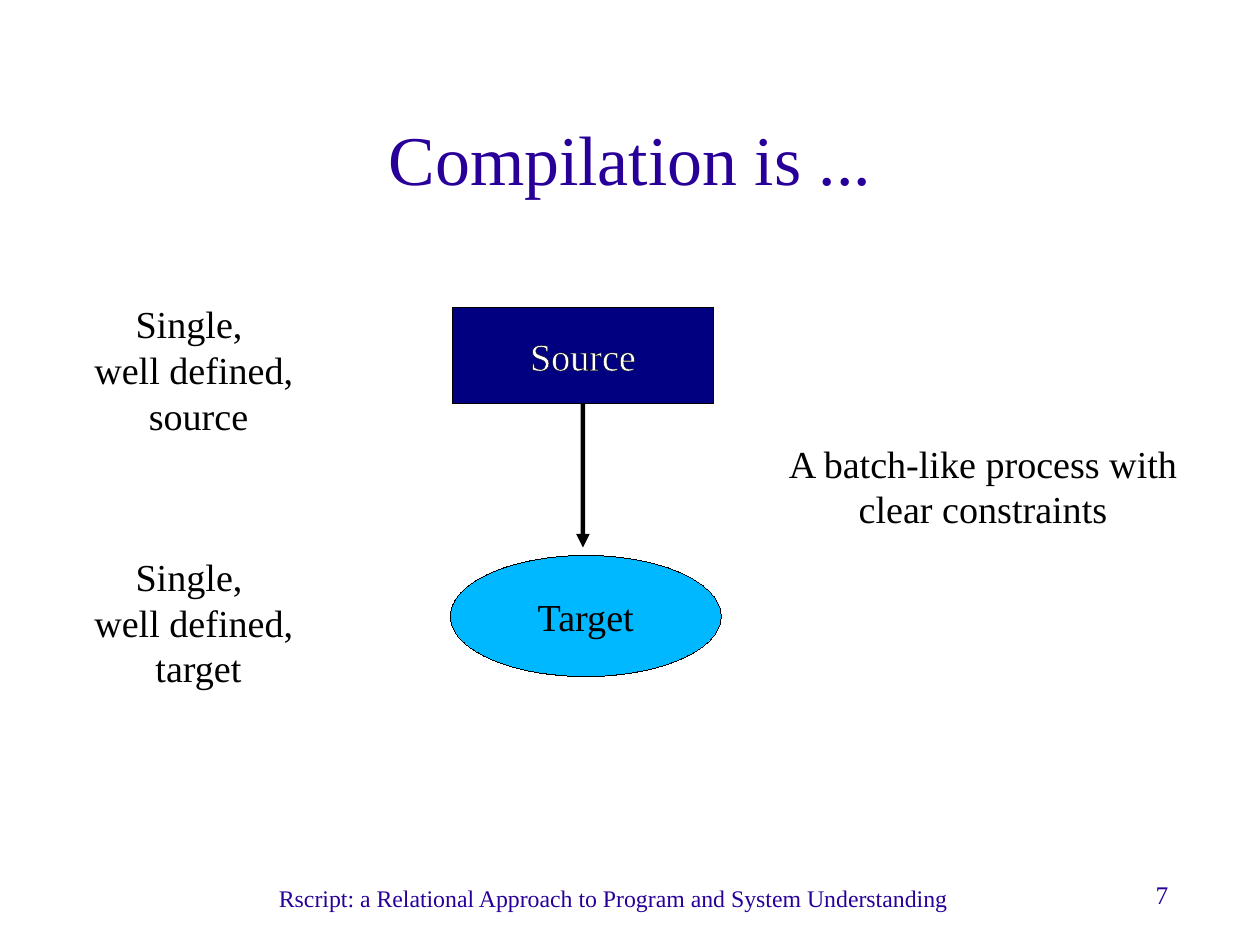
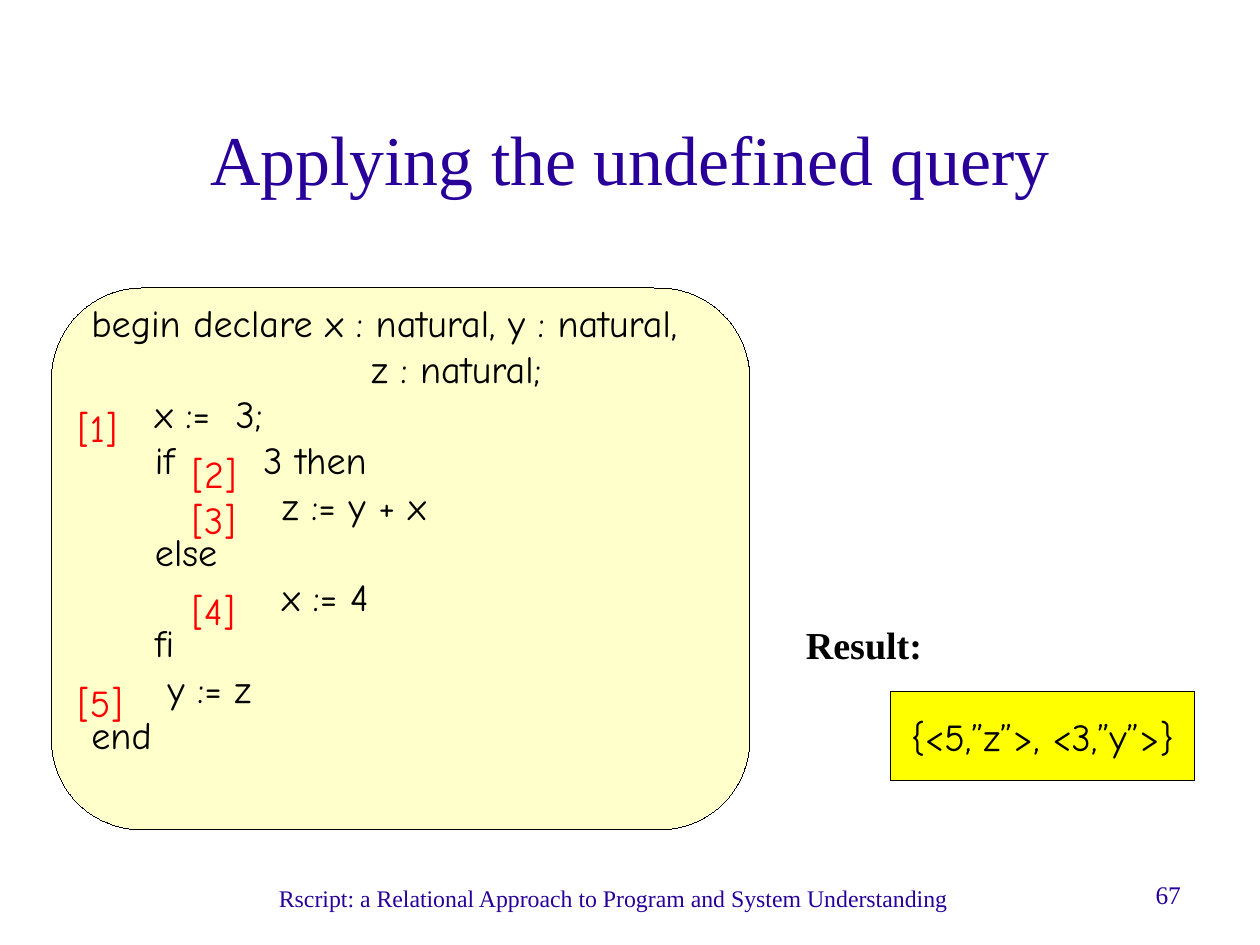
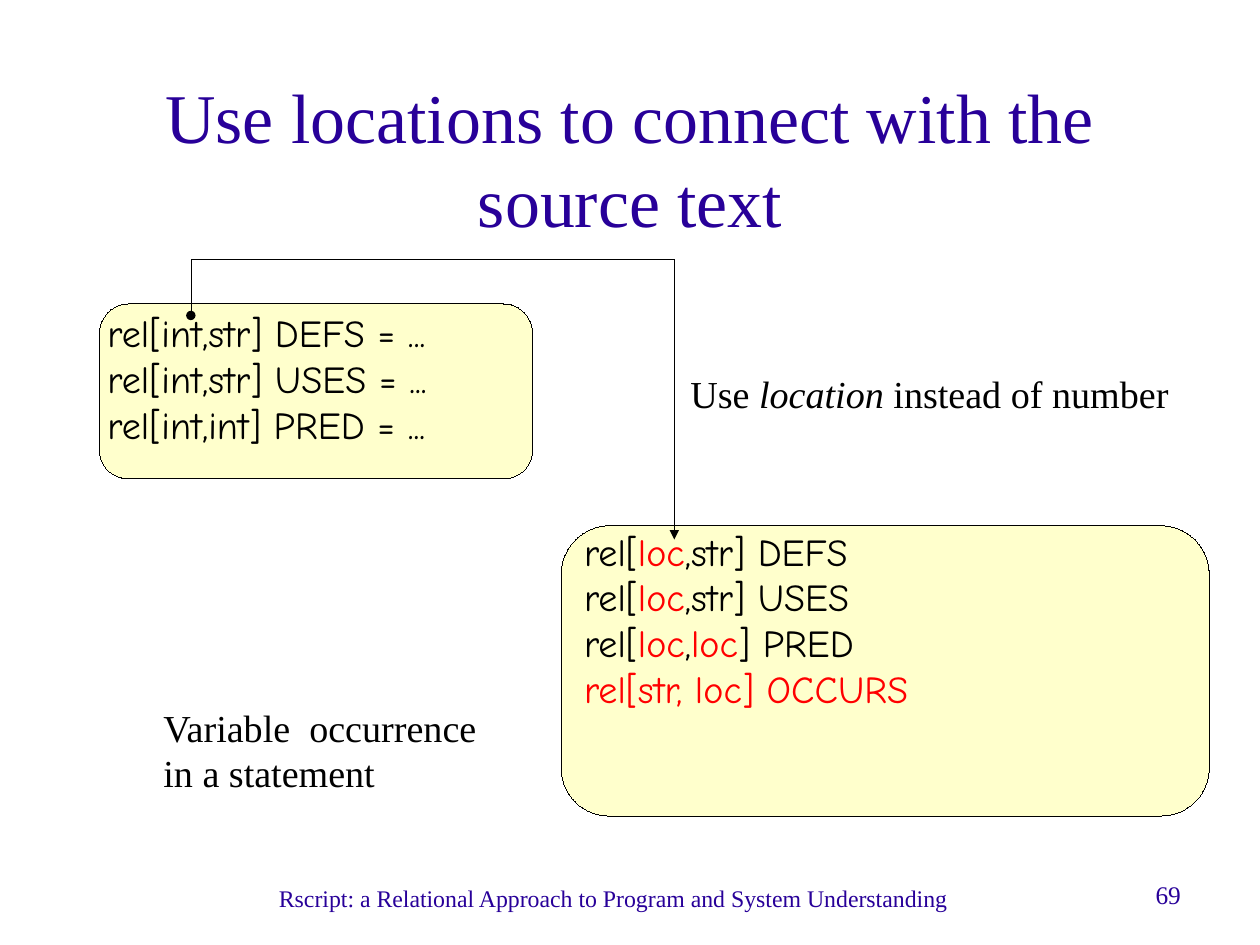
import pptx
import pptx.util
import pptx.dml.color
import pptx.enum.shapes
import pptx.enum.text
import lxml.etree

Inches = pptx.util.Inches
Pt = pptx.util.Pt
RGBColor = pptx.dml.color.RGBColor
Shape = pptx.enum.shapes.MSO_SHAPE
Align = pptx.enum.text.PP_ALIGN
Anchor = pptx.enum.text.MSO_ANCHOR

VIOLET = RGBColor(0x28, 0x00, 0x99)
NAVY = RGBColor(0x00, 0x00, 0x80)
SKY = RGBColor(0x00, 0xB8, 0xFF)
CREAM = RGBColor(0xFF, 0xFF, 0xCC)
YELLOW = RGBColor(0xFF, 0xFF, 0x00)
RED = RGBColor(0xFF, 0x00, 0x00)
BLACK = RGBColor(0x00, 0x00, 0x00)
WHITE = RGBColor(0xFF, 0xFF, 0xFF)
SERIF = "Times New Roman"
COMIC = "Comic Neue"
FOOTER = "Rscript: a Relational Approach to Program and System Understanding"
PITCH = 0.4
HAIR = 0.01


def add_xml(parent, tag, **attrs):
    name = pptx.oxml.ns.qn(tag)
    return lxml.etree.SubElement(parent, name, attrs)


def write(frame, lines, size=24, font=SERIF, color=BLACK,
          align=Align.LEFT, anchor=Anchor.TOP, bold=False):
    frame.word_wrap = True
    frame.vertical_anchor = anchor
    frame.margin_left = frame.margin_right = 0
    frame.margin_top = frame.margin_bottom = 0
    for i, line in enumerate(lines):
        para = frame.add_paragraph() if i else frame.paragraphs[0]
        para.alignment = align
        para.line_spacing = Pt(size * 1.2)
        for part in [line] if isinstance(line, str) else line:
            text, style = (part, {}) if isinstance(part, str) else part
            run = para.add_run()
            run.text = text
            run.font.name = font
            run.font.size = Pt(size)
            run.font.bold = bold
            run.font.italic = style.get("italic", False)
            run.font.color.rgb = style.get("color", color)


def add_text(slide, box, lines, **style):
    area = slide.shapes.add_textbox(*map(Inches, box))
    write(area.text_frame, lines, **style)


def add_box(slide, kind, box, fill, label=None, **style):
    shape = slide.shapes.add_shape(kind, *map(Inches, box))
    shape.shadow.inherit = False
    shape.fill.solid()
    shape.fill.fore_color.rgb = fill
    shape.line.color.rgb = BLACK
    shape.line.width = Pt(HAIR)
    if label:
        write(shape.text_frame, [label], align=Align.CENTER,
              anchor=Anchor.MIDDLE, **style)
    return shape


def add_panel(slide, box):
    add_box(slide, Shape.ROUNDED_RECTANGLE, box, CREAM)


def set_ends(shape, width, head, tail):
    shape.line.color.rgb = BLACK
    shape.line.width = Pt(width)
    line = shape.line._get_or_add_ln()
    add_xml(line, "a:headEnd", type=head)
    add_xml(line, "a:tailEnd", type=tail)


def add_arrow(slide, source, start, end):
    kind = pptx.enum.shapes.MSO_CONNECTOR.STRAIGHT
    arrow = slide.shapes.add_connector(kind, *map(Inches, start + end))
    arrow.begin_connect(source, 2)
    set_ends(arrow, 2.83, "none", "triangle")
    add_xml(arrow._element.spPr, "a:effectLst")


def add_route(slide, points):
    first, *rest = [tuple(map(Inches, point)) for point in points]
    form = slide.shapes.build_freeform(*first)
    form.add_line_segments(rest, close=False)
    route = form.convert_to_shape()
    route.shadow.inherit = False
    route.fill.background()
    set_ends(route, HAIR, "oval", "triangle")


def outline(shape):
    for run in shape.text_frame.paragraphs[0].runs:
        props = run.font._element
        line = add_xml(props, "a:ln", w=str(Pt(0.75)))
        add_xml(add_xml(line, "a:solidFill"), "a:srgbClr", val=str(BLACK))
        props.insert(0, line)


def add_slide(deck, title, number):
    slide = deck.slides.add_slide(deck.slide_layouts[6])
    add_text(slide, (10.11, 7.69, 0.9, 0.37), [number], size=16, color=VIOLET)
    add_text(slide, (2.44, 7.73, 6.2, 0.25), [FOOTER], size=15, color=VIOLET)
    add_text(slide, (0.81, 0.64, 9.41, 1.47), [title], size=44, color=VIOLET,
             align=Align.CENTER, anchor=Anchor.MIDDLE)
    return slide


def build_compile(deck):
    slide = add_slide(deck, "Compilation is ...", "7")
    source = add_box(slide, Shape.RECTANGLE, (3.96, 2.69, 2.28, 0.84),
                     NAVY, "Source", color=WHITE)
    outline(source)
    add_box(slide, Shape.OVAL, (3.94, 4.86, 2.37, 1.06), SKY, "Target")
    add_arrow(slide, source, (5.1, 3.53), (5.1, 4.79))
    for top, name in ((2.63, " source"), (4.84, " target")):
        add_text(slide, (0.77, top, 1.85, 1.21),
                 ["Single, ", "well defined,", name], align=Align.CENTER)
    add_text(slide, (6.79, 3.85, 3.62, 0.8),
             ["A batch-like process with", "clear constraints"],
             align=Align.CENTER)


def build_query(deck):
    slide = add_slide(deck, "Applying the undefined query", "67")
    add_panel(slide, (0.45, 2.52, 6.11, 4.74))
    code = [
        "begin declare x : natural, y : natural,",
        "                      z : natural;",
        "     x :=  3;",
        "     if       3 then",
        "               z := y + x",
        "     else",
        "               x := 4",
        "     fi",
        "      y := z",
        "end",
    ]
    add_text(slide, (0.8, 2.62, 5.74, PITCH * len(code)), code, font=COMIC)
    marks = ((0, 0.68), (1, 1.68), (2, 1.68), (4, 1.68), (6, 0.68))
    for i, (row, left) in enumerate(marks, 1):
        add_text(slide, (left, 3.54 + row * PITCH, 0.6, PITCH),
                 [f"[{i}]"], font=COMIC, color=RED)
    add_box(slide, Shape.RECTANGLE, (7.79, 6.05, 2.66, 0.78), YELLOW,
            "{<5,”z”>, <3,”y”>}", font=COMIC)
    add_text(slide, (7.05, 5.44, 1.2, PITCH), ["Result:"], bold=True)


def build_places(deck):
    slide = add_slide(
        deck, "Use locations to connect with the source text", "69")
    add_panel(slide, (0.87, 2.66, 3.79, 1.53))
    rels = (("int,str", "DEFS"), ("int,str", "USES"), ("int,int", "PRED"))
    add_text(slide, (0.94, 2.71, 3.7, 1.2),
             [f"rel[{types}] {name} = ..." for types, name in rels],
             font=COMIC)
    add_panel(slide, (4.91, 4.6, 5.67, 2.54))
    loc = ("loc", {"color": RED})
    add_text(slide, (5.11, 4.62, 5.4, 1.6), [
        ["rel[", loc, ",str] DEFS"],
        ["rel[", loc, ",str] USES"],
        ["rel[", loc, ",", loc, "] PRED"],
        [("rel[str, loc] OCCURS", {"color": RED})],
    ], font=COMIC)
    add_route(slide, ((1.67, 2.76), (1.67, 2.27), (5.9, 2.27), (5.9, 4.72)))
    add_text(slide, (6.04, 3.24, 4.4, PITCH), [
        ["Use ", ("location", {"italic": True}), " instead of number"]])
    add_text(slide, (1.43, 6.16, 3.02, 0.8),
             ["Variable  occurrence", "in a statement"])


def main():
    deck = pptx.Presentation()
    deck.slide_width = pptx.util.Cm(28)
    deck.slide_height = pptx.util.Cm(21)
    build_compile(deck)
    build_query(deck)
    build_places(deck)
    deck.save("out.pptx")


if __name__ == "__main__":
    main()
